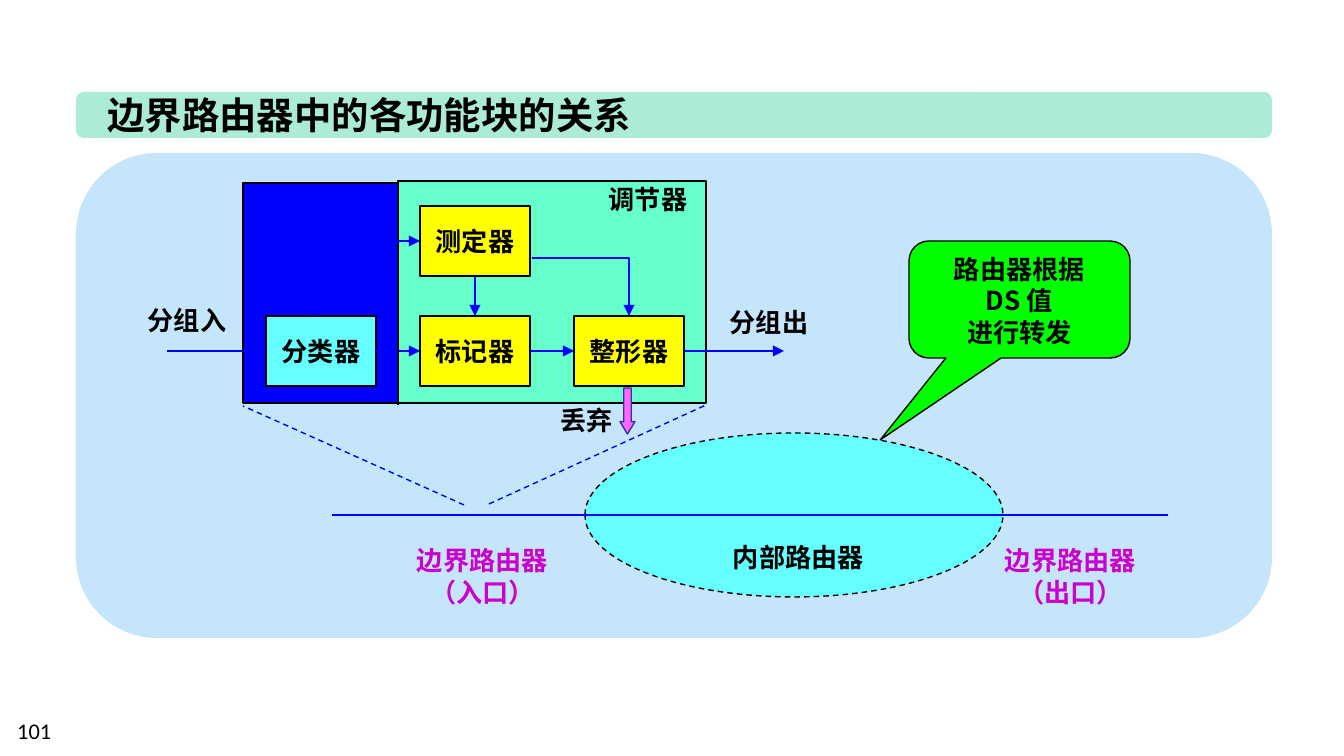
"""Draw the slide on the function blocks of a border router."""
import dataclasses
import typing

import lxml.etree
import pptx
import pptx.dml.color
import pptx.enum.dml
import pptx.enum.shapes
import pptx.enum.text
import pptx.oxml.ns
import pptx.util

SCALE = 9144000 / 1344
FACE = "Noto Sans CJK SC"
HUES = {
    "black": "000000", "blue": "0000FF", "mint": "ABEBD7", "sky": "C5E5FB",
    "green": "66FFCC", "cyan": "66FFFF", "yellow": "FFFF00", "lime": "00FF00",
    "pink": "FF66FF", "navy": "333399", "plum": "CC00CC",
}
KIND = pptx.enum.shapes.MSO_SHAPE
ALIGN = pptx.enum.text.PP_ALIGN
ANCHOR = pptx.enum.text.MSO_ANCHOR
DASH = pptx.enum.dml.MSO_LINE.DASH


@dataclasses.dataclass
class Block:
    kind: typing.Any
    area: tuple[int, int, int, int]
    fill: str
    line: str | None = "black"
    dash: bool = False
    adj: tuple[float, ...] = ()
    text: tuple[str, ...] = ()
    mid: bool = True


@dataclasses.dataclass
class Label:
    area: tuple[int, int, int, int]
    text: tuple[str, ...]
    hue: str = "black"


@dataclasses.dataclass
class Link:
    start: tuple[int, int]
    end: tuple[int, int]
    hue: str = "blue"
    width: float = 1.5
    dash: bool = False
    head: bool = False
    source: tuple[typing.Any, int] | None = None
    target: tuple[typing.Any, int] | None = None


def px(size: int) -> int:
    return round(size * SCALE)


def color(name: str) -> pptx.dml.color.RGBColor:
    return pptx.dml.color.RGBColor.from_string(HUES[name])


def write(frame, lines: tuple[str, ...], hue: str = "black", size: int = 14,
          face: str = FACE, bold: bool = True, align=ALIGN.CENTER) -> None:
    for index, line in enumerate(lines):
        para = frame.add_paragraph() if index else frame.paragraphs[0]
        para.alignment = align
        run = para.add_run()
        run.text = line
        font = run.font
        font.size = pptx.util.Pt(size)
        font.bold = bold
        font.name = face
        font.color.rgb = color(hue)
        east = lxml.etree.SubElement(font._element, pptx.oxml.ns.qn("a:ea"))
        east.set("typeface", face)


def stroke(line, hue: str, width: float, dash: bool = False, head: bool = False) -> None:
    line.color.rgb = color(hue)
    line.width = pptx.util.Pt(width)
    if dash:
        line.dash_style = DASH
    if head:
        tail = lxml.etree.SubElement(line._get_or_add_ln(), pptx.oxml.ns.qn("a:tailEnd"))
        tail.set("type", "triangle")


def draw(shapes, block: Block):
    shape = shapes.add_shape(block.kind, *map(px, block.area))
    shape.shadow.inherit = False
    for index, value in enumerate(block.adj):
        shape.adjustments[index] = value
    shape.fill.solid()
    shape.fill.fore_color.rgb = color(block.fill)
    if block.line:
        stroke(shape.line, block.line, 0.75, block.dash)
    else:
        shape.line.fill.background()
    if block.text:
        frame = shape.text_frame
        frame.word_wrap = not block.mid
        frame.vertical_anchor = ANCHOR.MIDDLE if block.mid else ANCHOR.TOP
        write(frame, block.text)
    return shape


def note(shapes, label: Label) -> None:
    frame = shapes.add_textbox(*map(px, label.area)).text_frame
    frame.word_wrap = False
    write(frame, label.text, label.hue)


def join(shapes, link: Link) -> None:
    wire = shapes.add_connector(pptx.enum.shapes.MSO_CONNECTOR.STRAIGHT,
                                *map(px, link.start + link.end))
    if link.source:
        wire.begin_connect(*link.source)
    if link.target:
        wire.end_connect(*link.target)
    stroke(wire.line, link.hue, link.width, link.dash, link.head)
    lxml.etree.SubElement(wire._element.spPr, pptx.oxml.ns.qn("a:effectLst"))


def bend(shapes, points: list[tuple[int, int]]) -> None:
    pen = shapes.build_freeform(*points[0], scale=SCALE)
    pen.add_line_segments(points[1:], close=False)
    route = pen.convert_to_shape()
    route.shadow.inherit = False
    route.fill.background()
    stroke(route.line, "blue", 1.5, head=True)


def head(slide) -> None:
    draw(slide.shapes, Block(KIND.ROUNDED_RECTANGLE, (76, 92, 1196, 46), "mint", None))
    title = slide.shapes.title
    title.left, title.top, title.width, title.height = map(px, (94, 85, 566, 59))
    frame = title.text_frame
    frame.word_wrap = False
    frame.auto_size = pptx.enum.text.MSO_AUTO_SIZE.NONE
    frame.vertical_anchor = ANCHOR.MIDDLE
    write(frame, ("边界路由器中的各功能块的关系",), size=20, align=ALIGN.LEFT)
    slide.shapes._spTree.append(title._element)


def main() -> None:
    deck = pptx.Presentation()
    deck.slide_width, deck.slide_height = px(1344), px(756)
    slide = deck.slides.add_slide(deck.slide_layouts[5])
    shapes = slide.shapes
    head(slide)

    for block in (
        Block(KIND.ROUNDED_RECTANGLE, (76, 153, 1196, 485), "sky", None),
        Block(KIND.RECTANGLE, (243, 183, 462, 220), "blue"),
        Block(KIND.RECTANGLE, (398, 181, 308, 222), "green"),
        Block(KIND.OVAL, (585, 433, 418, 164), "cyan", dash=True),
    ):
        draw(shapes, block)
    join(shapes, Link((332, 515), (1168, 515)))

    sort, mark, form, gauge = [
        draw(shapes, Block(KIND.RECTANGLE, (266 + 154 * col, 316 - 110 * up, 110, 70),
                           fill, text=(name,)))
        for name, col, up, fill in (
            ("分类器", 0, 0, "cyan"), ("标记器", 1, 0, "yellow"),
            ("整形器", 2, 0, "yellow"), ("测定器", 1, 1, "yellow"))
    ]
    for link in (
        Link((167, 351), (266, 351), head=True, target=(sort, 1)),
        Link((376, 351), (420, 351), head=True, source=(sort, 3), target=(mark, 1)),
        Link((530, 351), (574, 351), head=True, source=(mark, 3), target=(form, 1)),
        Link((684, 351), (784, 351), head=True, source=(form, 3)),
        Link((475, 276), (475, 316), head=True, source=(gauge, 2), target=(mark, 0)),
        Link((489, 504), (706, 405), width=0.75, dash=True),
        Link((464, 505), (243, 406), width=0.75, dash=True),
        Link((398, 183), (398, 405), "black", 0.75, True),
    ):
        join(shapes, link)
    bend(shapes, [(316, 316), (316, 241), (420, 241)])
    bend(shapes, [(532, 258), (629, 258), (629, 316)])

    draw(shapes, Block(KIND.ROUNDED_RECTANGULAR_CALLOUT, (909, 241, 221, 117), "lime",
                       adj=(-0.63, 1.2, 0.17), mid=False,
                       text=("路由器根据", "DS 值", "进行转发")))
    draw(shapes, Block(KIND.DOWN_ARROW, (620, 388, 15, 46), "pink", "navy", adj=(0.5, 0.82)))
    for label in (
        Label((719, 535, 159, 46), ("内部路由器",)),
        Label((403, 538, 159, 77), ("边界路由器", "（入口）"), "plum"),
        Label((991, 538, 159, 77), ("边界路由器", "（出口）"), "plum"),
        Label((595, 177, 106, 46), ("调节器",)),
        Label((134, 298, 106, 46), ("分组入",)),
        Label((716, 300, 106, 46), ("分组出",)),
        Label((547, 398, 79, 46), ("丢弃",)),
    ):
        note(shapes, label)
    page = shapes.add_textbox(*map(px, (4, 711, 313, 40))).text_frame
    page.word_wrap = True
    write(page, ("101",), size=12, face="Calibri", bold=False, align=ALIGN.LEFT)
    deck.save("out.pptx")


if __name__ == "__main__":
    main()
